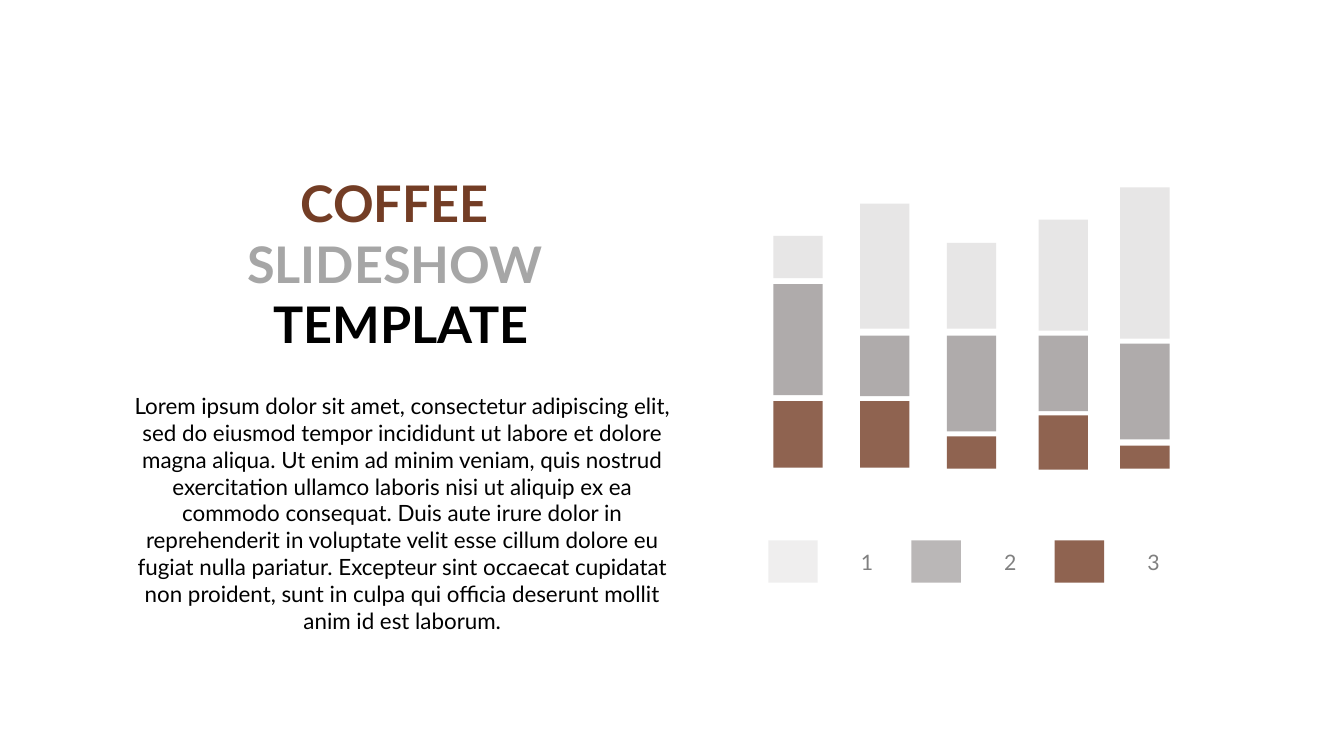
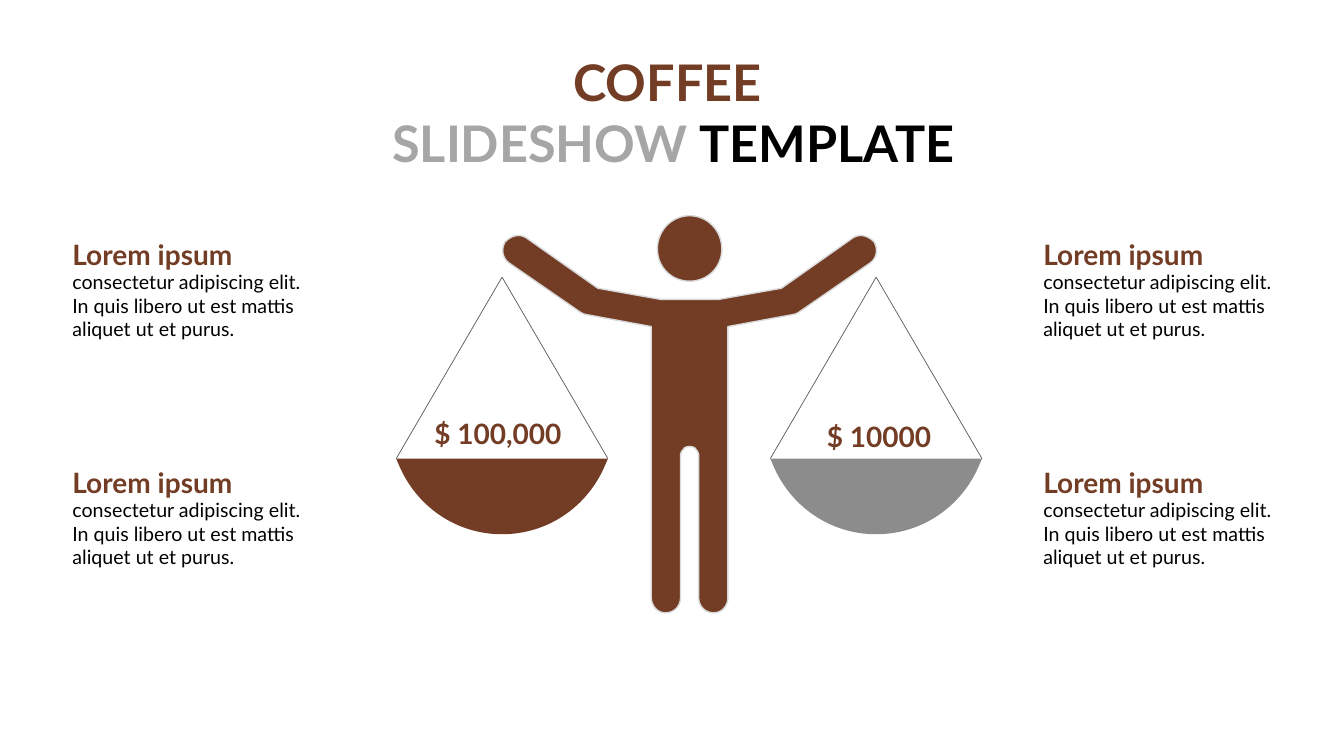
from lxml.etree import SubElement
from pptx import Presentation
from pptx.dml.color import RGBColor
from pptx.enum.shapes import MSO_SHAPE as Shape
from pptx.enum.text import MSO_ANCHOR as Anchor, MSO_AUTO_SIZE as Auto, PP_ALIGN as Align
from pptx.oxml.ns import qn
from pptx.util import Pt

UNIT = 9144
BROWN, GREY, BLACK = "733D25", "A6A6A6", "000000"
STONE, PALE, ASH = "AFABAB", "E7E6E6", "808080"
COFFEE, DECK, LAST = ("COFFEE ", BROWN), ("SLIDESHOW ", GREY), ("TEMPLATE", BLACK)
FRAME = {"word_wrap": True, "auto_size": Auto.NONE, "vertical_anchor": Anchor.TOP}
LOREM = (
    "Lorem ipsum dolor sit amet, consectetur adipiscing elit, sed do eiusmod tempor "
    "incididunt ut labore et dolore magna aliqua. Ut enim ad minim veniam, quis nostrud "
    "exercitation ullamco laboris nisi ut aliquip ex ea commodo consequat. Duis aute irure "
    "dolor in reprehenderit in voluptate velit esse cillum dolore eu fugiat nulla pariatur. "
    "Excepteur sint occaecat cupidatat non proident, sunt in culpa qui officia deserunt "
    "mollit anim id est laborum."
)
NOTE = "consectetur adipiscing elit. In quis libero ut est mattis aliquet ut et purus."
BARS = [
    (767, [(398, 66), (282, 110), (234, 42)]),
    (853, [(398, 66), (333, 60), (202, 124)]),
    (939, [(433, 32), (333, 95), (241, 85)]),
    (1030, [(412, 54), (333, 75), (218, 110)]),
    (1111, [(442, 23), (341, 95), (186, 150)]),
]
TONES = [(BROWN, 80), (STONE, 100), (PALE, 100)]
KEYS = [("1", STONE, 20), ("2", "767171", 50), ("3", BROWN, 80)]
BEND = True
MID = 684
HEAD = [(0, 214), (18, 214, BEND), (32, 229, BEND), (32, 247),
        (32, 265, BEND), (18, 279, BEND), (0, 279)]
BODY = [(29, 297), (91, 286), (162, 236),
        (165, 234, BEND), (169, 233, BEND), (173, 234),
        (177, 235, BEND), (180, 237, BEND), (183, 240),
        (187, 247, BEND), (186, 256, BEND), (179, 261), (108, 310),
        (106, 311, BEND), (105, 312, BEND), (103, 312), (38, 324), (38, 593),
        (38, 601, BEND), (32, 608, BEND), (24, 608),
        (15, 608, BEND), (9, 601, BEND), (9, 593), (9, 451), (8, 448),
        (7, 445, BEND), (4, 443, BEND), (0, 443)]
BOWL = [(105, 455), (102, 462), (85, 502, BEND), (46, 530, BEND), (0, 530)]


def px(num):
    return round(num * UNIT)


def apply(item, form):
    for key, val in form.items():
        setattr(item, key, val)


def place(item, box):
    apply(item, dict(zip(("left", "top", "width", "height"), map(px, box))))


def color(item, code):
    item.rgb = RGBColor.from_string(code)


def paint(shape, fill=None, alpha=100, line=None, width=1):
    shape.shadow.inherit = False
    if fill:
        shape.fill.solid()
        color(shape.fill.fore_color, fill)
        if alpha < 100:
            tone = shape.fill._xPr.find(".//" + qn("a:srgbClr"))
            SubElement(tone, qn("a:alpha")).set("val", str(alpha * 1000))
    else:
        shape.fill.background()
    if line:
        color(shape.line.color, line)
        shape.line.width = Pt(width)
    else:
        shape.line.fill.background()


def write(frame, lines, size, bold=False, align=Align.CENTER):
    apply(frame, FRAME)
    for i, line in enumerate(lines):
        para = frame.add_paragraph() if i else frame.paragraphs[0]
        props = para._p.get_or_add_pPr()
        props.set("marL", "0")
        props.set("indent", "0")
        SubElement(props, qn("a:buNone"))
        apply(para, {"alignment": align, "space_before": Pt(0)})
        for text, code in line:
            run = para.add_run()
            run.text = text
            apply(run.font, {"name": "Lato", "size": Pt(size), "bold": bold})
            color(run.font.color, code)


def head(slide, box, lines):
    place(slide.shapes.title, box)
    write(slide.shapes.title.text_frame, lines, 36, True)


def label(slide, box, text, code, size, **form):
    item = slide.shapes.add_textbox(*map(px, box))
    write(item.text_frame, [[(text, code)]], size, **form)


def block(slide, box, **form):
    paint(slide.shapes.add_shape(Shape.RECTANGLE, *map(px, box)), **form)


def mirror(half, mid):
    right = [(mid + x, *rest) for x, *rest in half]
    left = [(mid - x, *rest) for x, *rest in half]
    return right + left[-2::-1]


def curve(shape, flags):
    hold = None
    for step, bend in zip(list(shape._element.iter(qn("a:lnTo"))), flags):
        if hold is not None:
            hold.append(step[0])
            step.getparent().remove(step)
            hold = hold if bend else None
        elif bend:
            step.tag = qn("a:cubicBezTo")
            hold = step


def outline(slide, loops, close=True, **form):
    pen, flags = None, []
    for loop in loops:
        first, *rest = [(px(x), px(y)) for x, y, *_ in loop]
        if pen:
            pen.move_to(*first)
        else:
            pen = slide.shapes.build_freeform(*first, scale=1)
        pen.add_line_segments(rest, close=close)
        flags += [len(dot) > 2 for dot in loop[1:]]
    shape = pen.convert_to_shape()
    curve(shape, flags)
    paint(shape, **form)


def pan(slide, mid, fill, text, box):
    outline(slide, [mirror(BOWL, mid)], fill=fill)
    outline(slide, [[(mid - 105, 455), (mid, 275), (mid + 105, 455)]], False,
            line="595959", width=0.5)
    label(slide, box, text, BROWN, 20, bold=True)


def note(slide, x, y):
    label(slide, (x, y, 254, 44), "Lorem ipsum", BROWN, 20, bold=True, align=Align.LEFT)
    label(slide, (x, y + 32, 254, 81), NOTE, BLACK, 14, align=Align.LEFT)


def bars(deck):
    slide = deck.slides.add_slide(deck.slide_layouts[1])
    head(slide, (203, 166, 389, 192), [[COFFEE], [DECK], [LAST]])
    body = slide.placeholders[1]
    place(body, (112, 384, 574, 226))
    write(body.text_frame, [[(LOREM, BLACK)]], 16)
    for x, parts in BARS:
        for (top, high), (fill, alpha) in zip(parts, TONES):
            block(slide, (x, top, 49, high), fill=fill, alpha=alpha)
    for i, (text, fill, alpha) in enumerate(KEYS):
        x = 762 + 142 * i
        block(slide, (x, 536, 49, 42), fill=fill, alpha=alpha)
        label(slide, (x + 47, 540, 102, 36), text, ASH, 15.2)


def scales(deck):
    slide = deck.slides.add_slide(deck.slide_layouts[5])
    head(slide, (313, 46, 710, 131), [[COFFEE], [DECK, LAST]])
    outline(slide, [mirror(BODY, MID), mirror(HEAD, MID)], fill=BROWN, line="D9D9D9")
    pan(slide, 498, BROWN, "$ 100,000", (386, 408, 216, 37))
    pan(slide, 869, "8C8C8C", "$ 10000", (764, 411, 216, 37))
    for x in (62, 1025):
        for y in (231, 457):
            note(slide, x, y)


def main():
    deck = Presentation()
    apply(deck, {"slide_width": px(1333), "slide_height": px(750)})
    bars(deck)
    scales(deck)
    deck.save("out.pptx")


if __name__ == "__main__":
    main()
